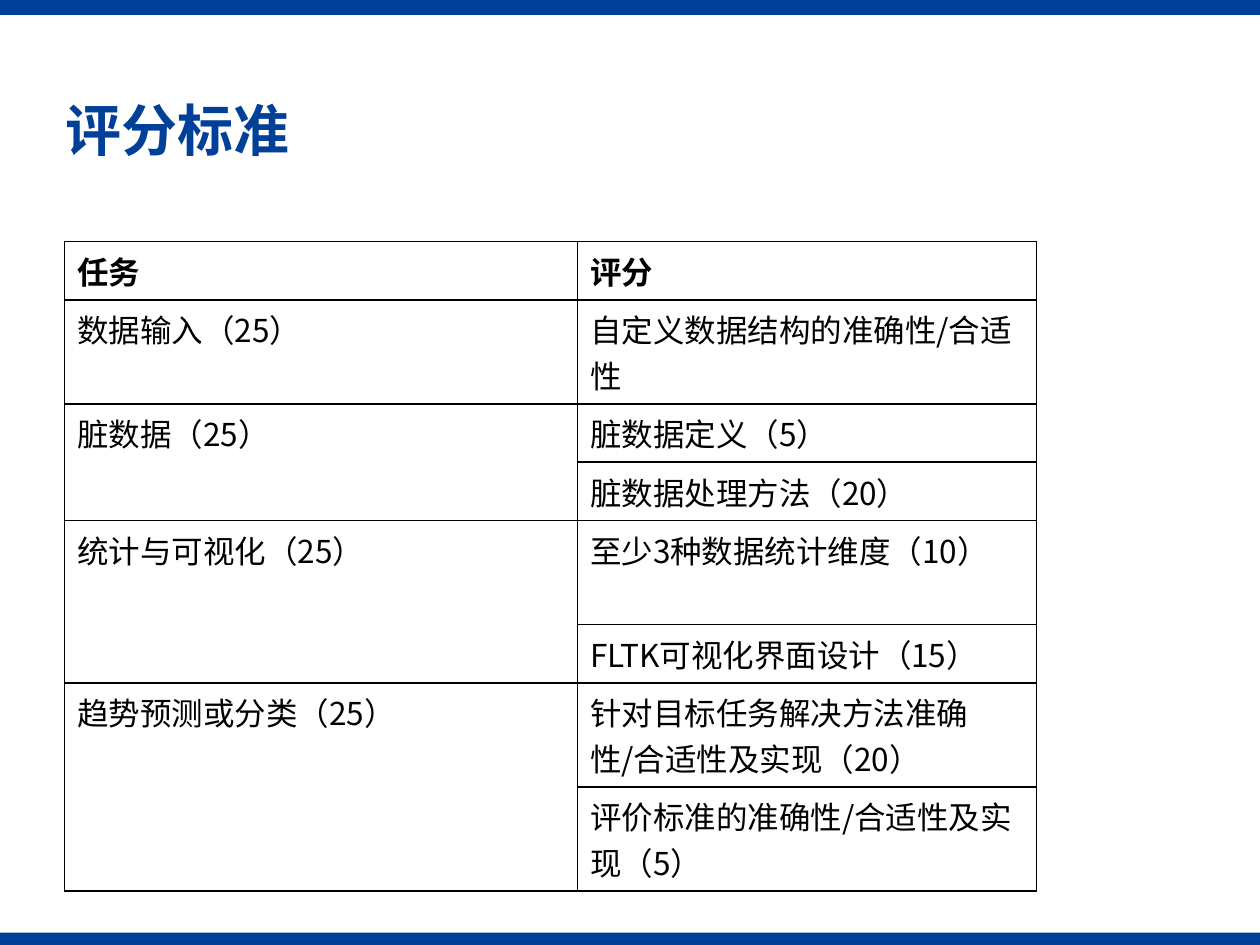
from lxml.etree import SubElement
from pptx import Presentation
from pptx.dml.color import RGBColor
from pptx.enum.shapes import MSO_SHAPE
from pptx.enum.text import MSO_ANCHOR, PP_ALIGN
from pptx.oxml.ns import qn
from pptx.util import Cm, Pt

COLORS = {"blue": "004098", "black": "000000", "white": "FFFFFF"}
FONT = "Noto Sans CJK SC"

# Each task with its scoring items
CRITERIA = [
    ("数据输入（25）", ["自定义数据结构的准确性/合适性"]),
    ("脏数据（25）", ["脏数据定义（5）", "脏数据处理方法（20）"]),
    ("统计与可视化（25）", ["至少3种数据统计维度（10）", "FLTK可视化界面设计（15）"]),
    ("趋势预测或分类（25）", ["针对目标任务解决方法准确性/合适性及实现（20）",
                     "评价标准的准确性/合适性及实现（5）"]),
]
ONE_LINE, TWO_LINES = Cm(1.17), Cm(2.1)
ROW_HEIGHTS = [ONE_LINE, TWO_LINES, ONE_LINE, ONE_LINE,
               TWO_LINES, ONE_LINE, TWO_LINES, TWO_LINES]


def set_font(p, size, color, bold):
    """Format a paragraph, for Latin and East Asian characters alike."""
    p.font.name = FONT
    p.font.size = Pt(size)
    p.font.bold = bold
    p.font.color.rgb = RGBColor.from_string(COLORS[color])
    SubElement(p.font._element, qn("a:ea"), typeface=FONT)


def add_borders(cell):
    tcPr = cell._tc.get_or_add_tcPr()
    for side in ("lnL", "lnR", "lnT", "lnB"):
        ln = SubElement(tcPr, qn(f"a:{side}"), w=str(Pt(1)))
        fill = SubElement(ln, qn("a:solidFill"))
        SubElement(fill, qn("a:srgbClr"), val=COLORS["black"])


prs = Presentation()
prs.slide_width, prs.slide_height = Cm(25.4), Cm(19.05)
s = prs.slides.add_slide(prs.slide_layouts[5])

# Bars along the bottom and top edges
for top, height in ((18.8, 0.25), (0, 0.3)):
    bar = s.shapes.add_shape(MSO_SHAPE.RECTANGLE, 0, Cm(top), prs.slide_width, Cm(height))
    bar.shadow.inherit = False
    bar.fill.solid()
    bar.fill.fore_color.rgb = RGBColor.from_string(COLORS["blue"])
    bar.line.fill.background()

title = s.shapes.title
title.left, title.top, title.width, title.height = Cm(1.07), Cm(1.88), Cm(23.27), Cm(1.6)
tf = title.text_frame
tf.text = "评分标准"
tf.vertical_anchor = MSO_ANCHOR.MIDDLE
p = tf.paragraphs[0]
p.alignment = PP_ALIGN.LEFT
p.line_spacing = 0.9
set_font(p, 32, "blue", True)

# Scoring table
table = s.shapes.add_table(len(ROW_HEIGHTS), 2, Cm(1.3), Cm(4.87),
                           Cm(19.59), sum(ROW_HEIGHTS)).table
table.horz_banding = False
table.columns[0].width, table.columns[1].width = Cm(10.34), Cm(9.25)
for row, height in zip(table.rows, ROW_HEIGHTS):
    row.height = height

table.cell(0, 0).text, table.cell(0, 1).text = "任务", "评分"
first = 1
for task, items in CRITERIA:
    table.cell(first, 0).text = task
    for i, item in enumerate(items):
        table.cell(first + i, 1).text = item
    if len(items) > 1:
        table.cell(first, 0).merge(table.cell(first + len(items) - 1, 0))
    first += len(items)

for i, row in enumerate(table.rows):
    for cell in row.cells:
        add_borders(cell)
        cell.fill.solid()
        cell.fill.fore_color.rgb = RGBColor.from_string(COLORS["white"])
        set_font(cell.text_frame.paragraphs[0], 18, "black", i == 0)

prs.save("out.pptx")
